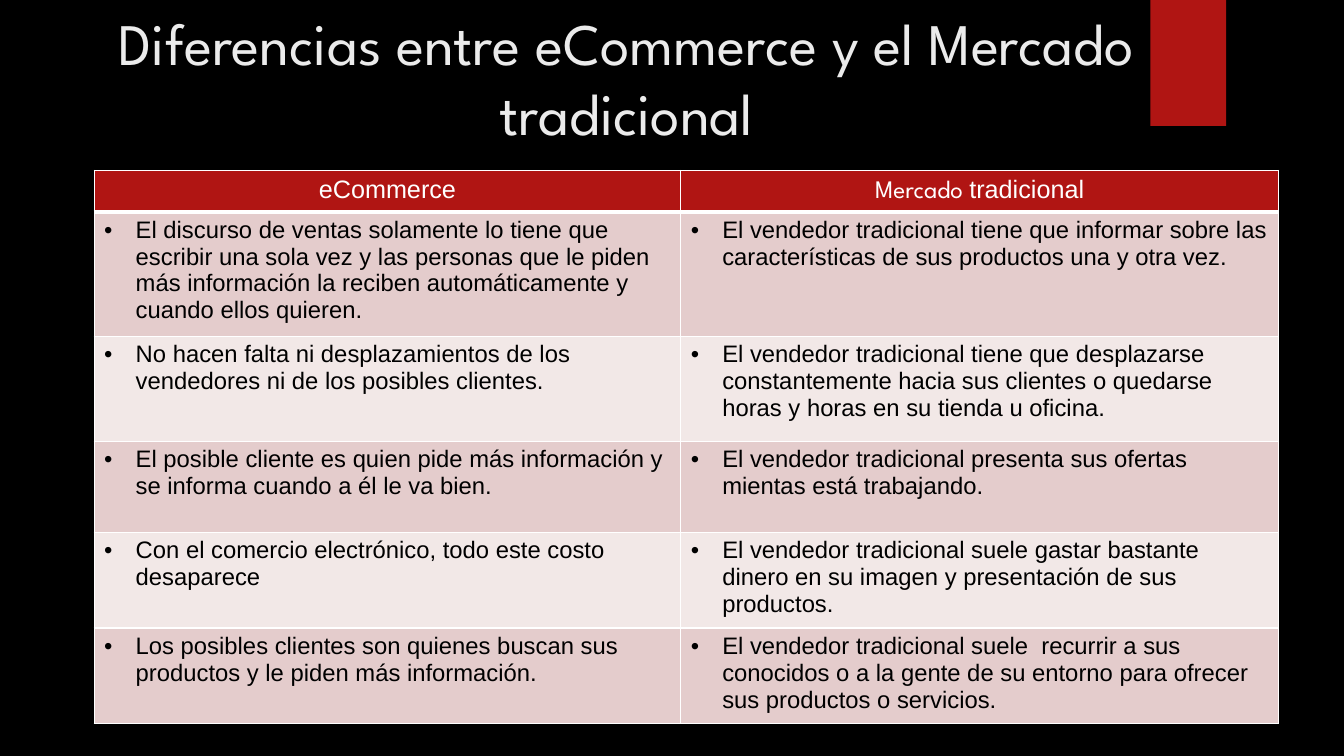
from lxml import etree
from pptx import Presentation
from pptx.dml.color import RGBColor
from pptx.enum.shapes import MSO_SHAPE
from pptx.enum.text import MSO_ANCHOR, PP_ALIGN
from pptx.oxml.ns import qn
from pptx.util import Pt

RECTANGLE = MSO_SHAPE.RECTANGLE
MIDDLE = MSO_ANCHOR.MIDDLE
CENTER, LEFT = PP_ALIGN.CENTER, PP_ALIGN.LEFT

BLACK = RGBColor(0x00, 0x00, 0x00)
WHITE = RGBColor(0xFF, 0xFF, 0xFF)
TITLE_GRAY = RGBColor(0xEB, 0xEB, 0xEB)
RED = RGBColor(0xB0, 0x15, 0x13)
DARK_BAND = RGBColor(0xE4, 0xCC, 0xCC)
LIGHT_BAND = RGBColor(0xF2, 0xE8, 0xE7)

DISPLAY_FONT, BODY_FONT = "League Spartan", "Arial"
TITLE_FORMAT = {"name": DISPLAY_FONT, "size": Pt(42)}
HEADER_FORMAT = {"name": BODY_FONT, "size": Pt(18), "bold": False}
HEADER_DISPLAY_FORMAT = {**HEADER_FORMAT, "name": DISPLAY_FONT}
BODY_FORMAT = {"name": BODY_FONT, "size": Pt(17), "bold": False}

HEADERS = [
    [("eCommerce", HEADER_FORMAT)],
    [("Mercado ", HEADER_DISPLAY_FORMAT), ("tradicional", HEADER_FORMAT)],
]
DIFFERENCES = [
    ("El discurso de ventas solamente lo tiene que escribir una sola vez y las personas "
     "que le piden más información la reciben automáticamente y cuando ellos quieren.",
     "El vendedor tradicional tiene que informar sobre las características de sus "
     "productos una y otra vez."),
    ("No hacen falta ni desplazamientos de los vendedores ni de los posibles clientes.",
     "El vendedor tradicional tiene que desplazarse constantemente hacia sus clientes o "
     "quedarse horas y horas en su tienda u oficina."),
    ("El posible cliente es quien pide más información y se informa cuando a él le va bien.",
     "El vendedor tradicional presenta sus ofertas mientas está trabajando."),
    ("Con el comercio electrónico, todo este costo desaparece",
     "El vendedor tradicional suele gastar bastante dinero en su imagen y presentación "
     "de sus productos."),
    ("Los posibles clientes son quienes buscan sus productos y le piden más información.",
     "El vendedor tradicional suele  recurrir a sus conocidos o a la gente de su entorno "
     "para ofrecer sus productos o servicios."),
]
COLUMN_WIDTHS = [419, 427]
ROW_HEIGHTS = [29.5, 83.5, 75, 65, 65, 65]
BULLET_INDENT = Pt(22.5)


def add_spans(para, spans, color, align):
    """Fill a paragraph with (text, format) spans in one colour."""
    para.alignment = align
    for text, font_format in spans:
        span = para.add_run()
        span.text = text
        span.font.color.rgb = color
        for name, value in font_format.items():
            setattr(span.font, name, value)


def add_border(cell, side, width):
    """Draw a white line on one side of a table cell."""
    line = etree.SubElement(cell._tc.get_or_add_tcPr(), qn(f"a:ln{side}"), w=str(Pt(width)))
    fill = etree.SubElement(line, qn("a:solidFill"))
    etree.SubElement(fill, qn("a:srgbClr"), val=str(WHITE))


deck = Presentation()
deck.slide_width, deck.slide_height = Pt(960), Pt(540)
page = deck.slides.add_slide(deck.slide_layouts[6])
page.background.fill.solid()
page.background.fill.fore_color.rgb = BLACK

ribbon = page.shapes.add_shape(RECTANGLE, Pt(821.75), Pt(0), Pt(54), Pt(90))
ribbon.shadow.inherit = False
ribbon.fill.solid()
ribbon.fill.fore_color.rgb = RED
ribbon.line.fill.background()

title = page.shapes.add_textbox(Pt(77), Pt(0), Pt(741), Pt(110))
title.text_frame.word_wrap = True
title.text_frame.vertical_anchor = MIDDLE
add_spans(title.text_frame.paragraphs[0],
          [("Diferencias entre eCommerce y el Mercado tradicional", TITLE_FORMAT)],
          TITLE_GRAY, CENTER)

frame = page.shapes.add_table(len(ROW_HEIGHTS), len(COLUMN_WIDTHS), Pt(67.25), Pt(121.75),
                              Pt(sum(COLUMN_WIDTHS)), Pt(sum(ROW_HEIGHTS)))
table = frame.table
for column, width in zip(table.columns, COLUMN_WIDTHS):
    column.width = Pt(width)
for row, height in zip(table.rows, ROW_HEIGHTS):
    row.height = Pt(height)

rows = [HEADERS] + [[[(text, BODY_FORMAT)] for text in pair] for pair in DIFFERENCES]
for row_index, row_spans in enumerate(rows):
    is_header = row_index == 0
    band = RED if is_header else DARK_BAND if row_index % 2 else LIGHT_BAND
    borders = {"L": 1, "R": 1, "T": 3 if row_index == 1 else 1, "B": 3 if is_header else 1}
    for column_index, spans in enumerate(row_spans):
        cell = table.cell(row_index, column_index)
        for side, width in borders.items():
            add_border(cell, side, width)
        cell.fill.solid()
        cell.fill.fore_color.rgb = band
        para = cell.text_frame.paragraphs[0]
        if is_header:
            add_spans(para, spans, WHITE, CENTER)
            continue
        add_spans(para, spans, BLACK, LEFT)
        properties = para._p.get_or_add_pPr()
        properties.set("marL", str(BULLET_INDENT))
        properties.set("indent", str(-BULLET_INDENT))
        etree.SubElement(properties, qn("a:buFont"), typeface=BODY_FONT)
        etree.SubElement(properties, qn("a:buChar"), char="•")

deck.save("out.pptx")
